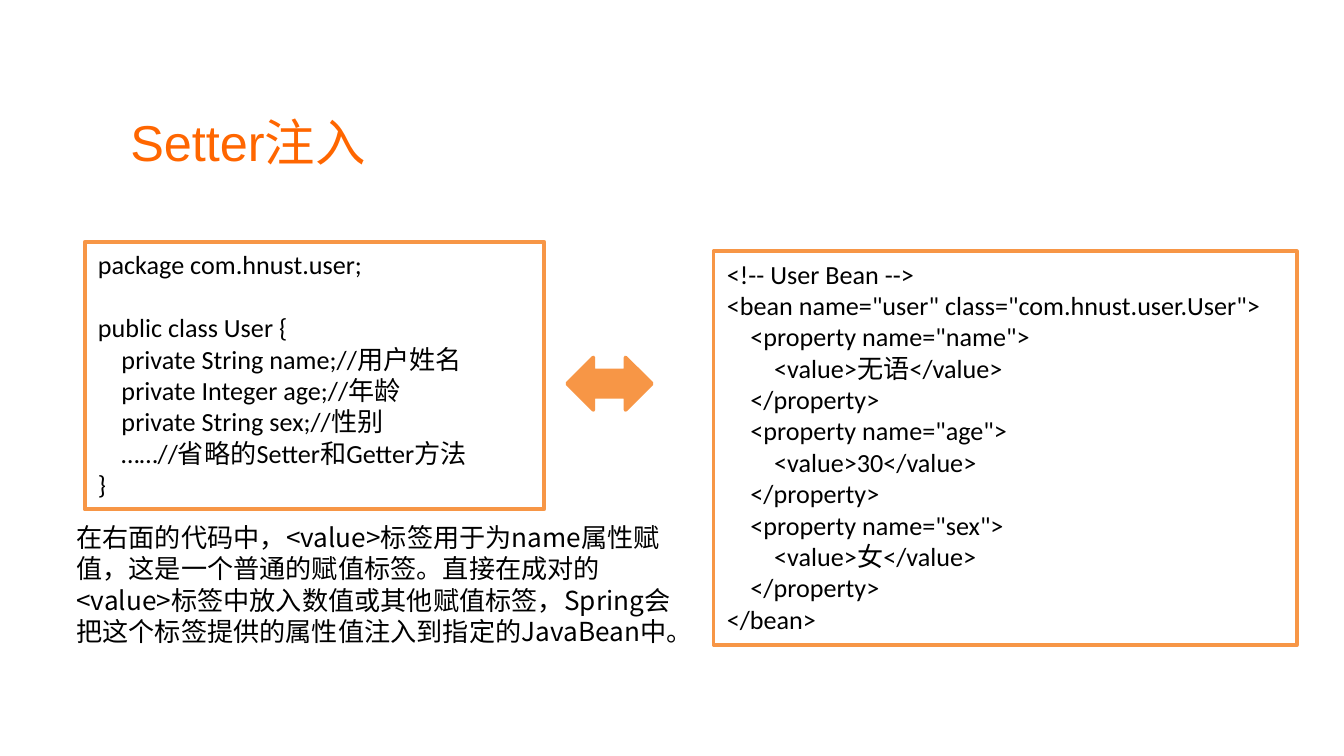
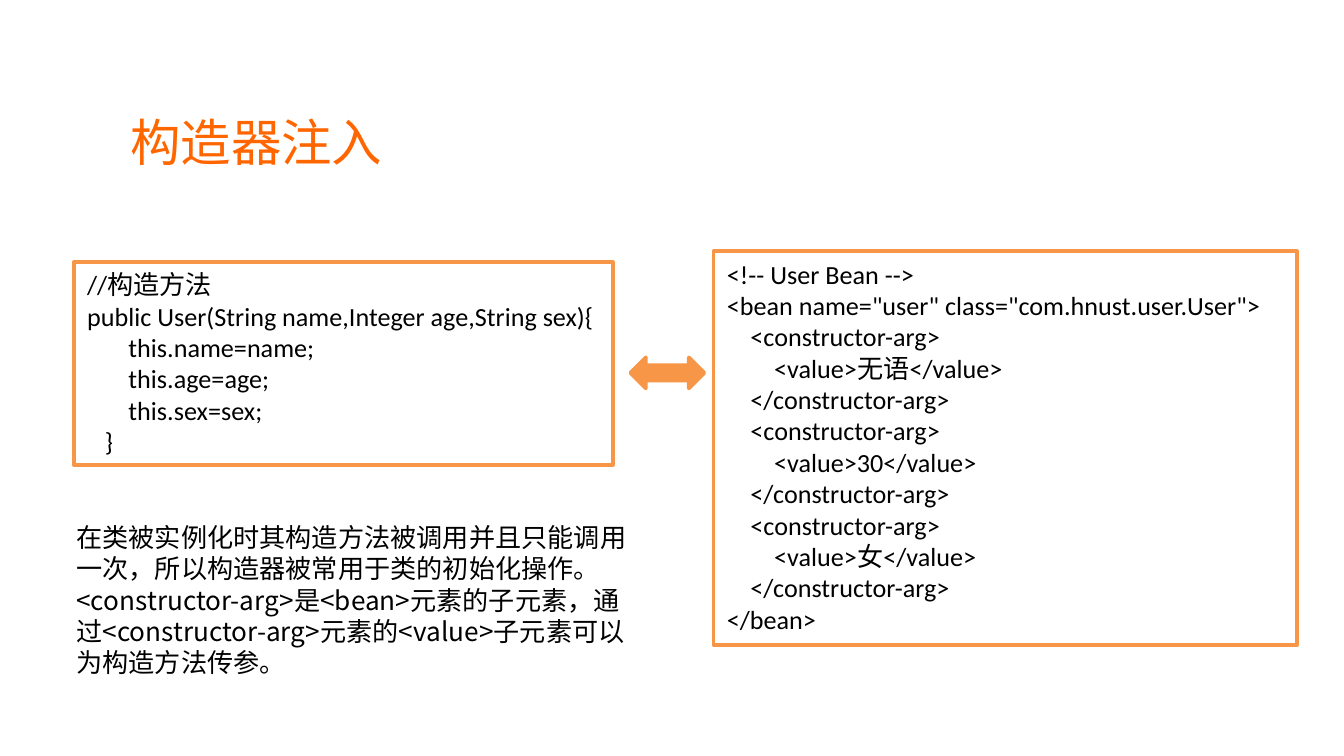
import pptx
import pptx.dml.color
import pptx.enum.shapes
import pptx.enum.text
import pptx.oxml.ns
import pptx.util
from lxml import etree

Inches = pptx.util.Inches
Pt = pptx.util.Pt
SHAPES = pptx.enum.shapes.MSO_SHAPE
SLIDE_WIDTH = 10
SLIDE_HEIGHT = SLIDE_WIDTH * 9 / 16
ORANGE = "F79646"
TITLE_ORANGE = "FF6600"
BLACK = "000000"
WHITE = "FFFFFF"
CODE_FONT = "Calibri"
CJK_FONT = "Noto Sans CJK SC"
BODY_SIZE = 14
BLANK_LINE = 17

SETTER_CODE = """package com.hnust.user;

public class User {
    private String name;//用户姓名
    private Integer age;//年龄
    private String sex;//性别
    ……//省略的Setter和Getter方法
}"""
CONSTRUCTOR_CODE = """//构造方法
public User(String name,Integer age,String sex){
       this.name=name;
       this.age=age;
       this.sex=sex;
   }"""
SETTER_NOTE = (
    "在右面的代码中，<value>标签用于为name属性赋值，这是一个普通的赋值标签。"
    "直接在成对的<value>标签中放入数值或其他赋值标签，"
    "Spring会把这个标签提供的属性值注入到指定的JavaBean中。"
)
CONSTRUCTOR_NOTE = (
    "在类被实例化时其构造方法被调用并且只能调用一次，所以构造器被常用于类的初始化操作。"
    "<constructor-arg>是<bean>元素的子元素，"
    "通过<constructor-arg>元素的<value>子元素可以为构造方法传参。"
)


def color(hex_code):
    return pptx.dml.color.RGBColor.from_string(hex_code)


def add_run(p, text, font, size, hex_code):
    r = p.add_run()
    r.text = text
    r.font.size = Pt(size)
    r.font.color.rgb = color(hex_code)
    r.font.name = font
    ea = etree.SubElement(r.font._element, pptx.oxml.ns.qn("a:ea"))
    ea.set("typeface", CJK_FONT)


def add_text_box(slide, text, box, font, size, hex_code):
    sp = slide.shapes.add_textbox(*map(Inches, box))
    tf = sp.text_frame
    tf.word_wrap = True
    add_run(tf.paragraphs[0], text, font, size, hex_code)
    return tf


def add_title(slide, text):
    tf = add_text_box(slide, text, (0.9, 0.67, 7.15, 0.77), "Arial", 27, TITLE_ORANGE)
    tf.vertical_anchor = pptx.enum.text.MSO_ANCHOR.MIDDLE
    tf.margin_left = tf.margin_right = Inches(0.07)
    tf.margin_top = tf.margin_bottom = Inches(0.04)


def add_note(slide, text, box):
    tf = add_text_box(slide, text, box, CJK_FONT, BODY_SIZE, BLACK)
    tf.auto_size = pptx.enum.text.MSO_AUTO_SIZE.SHAPE_TO_FIT_TEXT


def add_outlined(slide, kind, box, fill):
    sp = slide.shapes.add_shape(kind, *map(Inches, box))
    sp.shadow.inherit = False
    sp.fill.solid()
    sp.fill.fore_color.rgb = color(fill)
    sp.line.color.rgb = color(ORANGE)
    sp.line.width = Pt(2)
    return sp


def add_arrow(slide, box):
    add_outlined(slide, SHAPES.LEFT_RIGHT_ARROW, box, ORANGE)


def add_code(slide, code, box, wrap=False):
    tf = add_outlined(slide, SHAPES.RECTANGLE, box, WHITE).text_frame
    tf.word_wrap = wrap
    tf.auto_size = pptx.enum.text.MSO_AUTO_SIZE.SHAPE_TO_FIT_TEXT
    tf.vertical_anchor = pptx.enum.text.MSO_ANCHOR.TOP
    p = tf.paragraphs[0]
    gap = 0
    for i, line in enumerate(code.split("\n")):
        if not line:
            gap = BLANK_LINE
            continue
        if i:
            p = tf.add_paragraph()
        p.alignment = pptx.enum.text.PP_ALIGN.LEFT
        p.space_before = Pt(gap)
        gap = 0
        add_run(p, line, CODE_FONT, BODY_SIZE, BLACK)


def bean_xml(tag, attributes):
    lines = ["<!-- User Bean -->", '<bean name="user" class="com.hnust.user.User">']
    for attribute, value in zip(attributes, ("无语", "30", "女")):
        lines += [
            f"    <{tag}{attribute}>",
            f"        <value>{value}</value>",
            f"    </{tag}>",
        ]
    return "\n".join(lines + ["</bean>"])


def add_injection_slide(prs, title, bean):
    slide = prs.slides.add_slide(prs.slide_layouts[6])
    add_title(slide, title)
    add_code(slide, bean, (5.31, 1.87, 4.34, 2.93))
    return slide


def main():
    prs = pptx.Presentation()
    prs.slide_width = Inches(SLIDE_WIDTH)
    prs.slide_height = Inches(SLIDE_HEIGHT)

    names = [f' name="{name}"' for name in ("name", "age", "sex")]
    slide = add_injection_slide(prs, "Setter注入", bean_xml("property", names))
    add_code(slide, SETTER_CODE, (0.63, 1.8, 3.42, 1.99), wrap=True)
    add_arrow(slide, (4.22, 2.66, 0.63, 0.39))
    add_note(slide, SETTER_NOTE, (0.47, 3.83, 4.69, 1.04))

    slide = add_injection_slide(prs, "构造器注入", bean_xml("constructor-arg", [""] * 3))
    add_code(slide, CONSTRUCTOR_CODE, (0.55, 1.95, 4.01, 1.51))
    add_arrow(slide, (4.69, 2.66, 0.55, 0.23))
    add_note(slide, CONSTRUCTOR_NOTE, (0.47, 3.83, 4.38, 1.28))

    prs.save("out.pptx")


if __name__ == "__main__":
    main()
